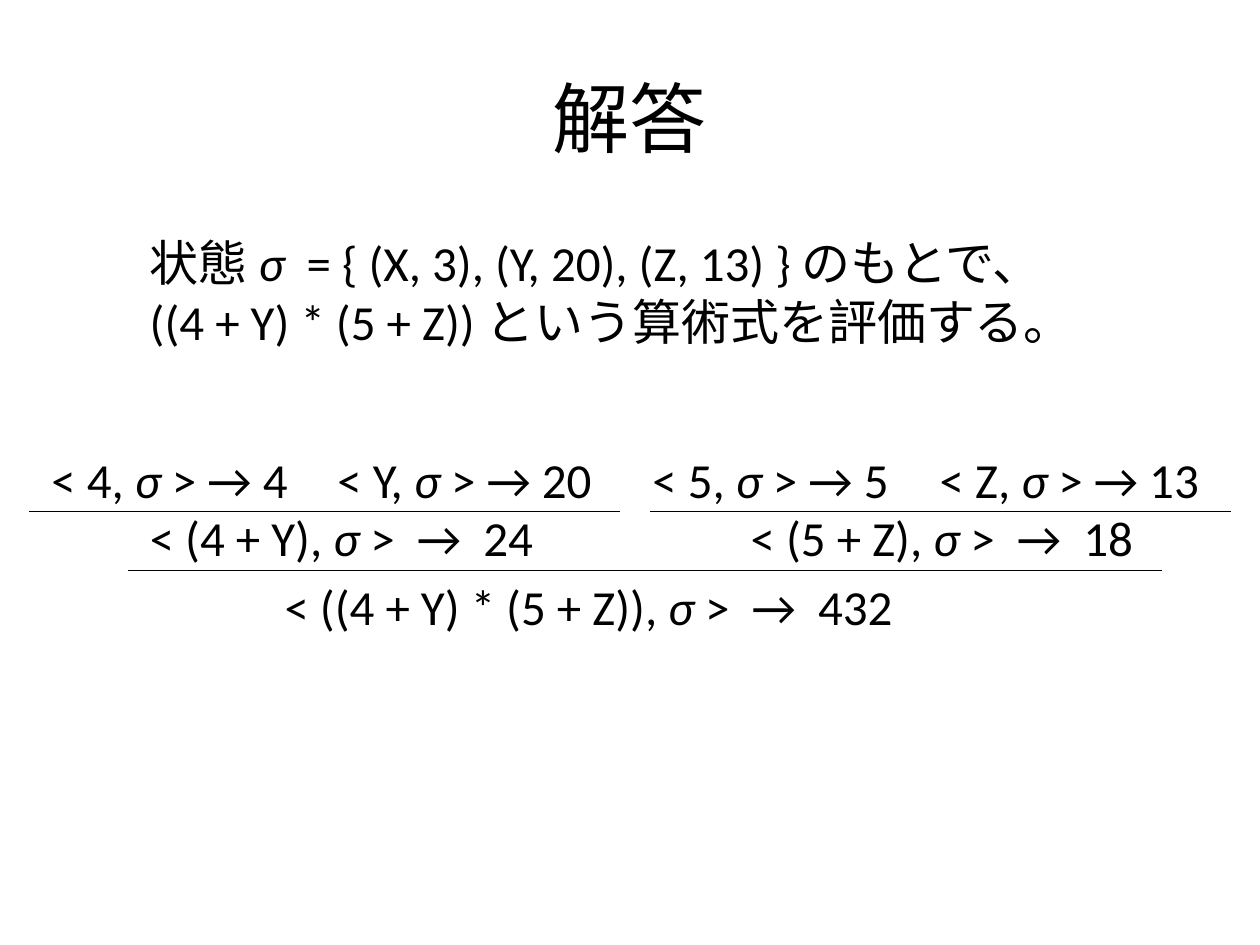
import pptx
import pptx.util
import pptx.dml.color
import pptx.enum.text
import pptx.enum.shapes
import pptx.oxml.ns
import lxml.etree

Inches = pptx.util.Inches
COLORS = {"ink": "000000"}
SIGMA = "σ"


class DerivationSlide:
    """Style and current slide of a semantic derivation."""

    font_name = "Calibri"
    title_size = 44
    text_size = 28

    def __init__(self, deck):
        self.slide = deck.slides.add_slide(deck.slide_layouts[5])
        self.ink = pptx.dml.color.RGBColor.from_string(COLORS["ink"])

    def style(self, font, size):
        font.name = self.font_name
        font.size = pptx.util.Pt(size)
        font.color.rgb = self.ink

    def title(self, text, left, top, width, height):
        box = self.slide.shapes.title
        box.left, box.top = Inches(left), Inches(top)
        box.width, box.height = Inches(width), Inches(height)
        frame = box.text_frame
        frame.text = text
        frame.vertical_anchor = pptx.enum.text.MSO_ANCHOR.MIDDLE
        para = frame.paragraphs[0]
        para.alignment = pptx.enum.text.PP_ALIGN.CENTER
        self.style(para.runs[0].font, self.title_size)

    def text(self, lines, left, top, width, height, wrap=False):
        box = self.slide.shapes.add_textbox(
            Inches(left), Inches(top), Inches(width), Inches(height))
        frame = box.text_frame
        frame.word_wrap = wrap
        frame.auto_size = pptx.enum.text.MSO_AUTO_SIZE.SHAPE_TO_FIT_TEXT
        for index, line in enumerate(lines):
            para = frame.add_paragraph() if index else frame.paragraphs[0]
            before, sigma, after = line.partition(SIGMA)
            for part in filter(None, (before, sigma, after)):
                span = para.add_run()
                span.text = part
                self.style(span.font, self.text_size)
                span.font.italic = part == SIGMA

    def judgement(self, expression, arrow, value, left, top, width):
        line = f"< {expression}, {SIGMA} >{arrow}{value}"
        self.text([line], left, top, width, 0.57)

    def rule(self, start, end, y):
        line = self.slide.shapes.add_connector(
            pptx.enum.shapes.MSO_CONNECTOR.STRAIGHT,
            Inches(start), Inches(y), Inches(end), Inches(y))
        line.line.color.rgb = self.ink
        line.line.width = pptx.util.Pt(0.75)
        lxml.etree.SubElement(
            line._element.spPr, pptx.oxml.ns.qn("a:effectLst"))


def main():
    deck = pptx.Presentation()
    deck.slide_width, deck.slide_height = Inches(10), Inches(7.5)
    page = DerivationSlide(deck)
    page.title("解答", 0.5, 0.3, 9, 1.25)
    page.text(
        ["状態 σ  = { (X, 3), (Y, 20), (Z, 13) } のもとで、",
         "((4 + Y) * (5 + Z)) という算術式を評価する。"],
        1.09, 1.8, 7.17, 1.04, wrap=True)

    premises = [("4", 4, 0.31, 2.16), ("Y", 20, 2.58, 2.31),
                ("5", 5, 5.08, 2.16), ("Z", 13, 7.36, 2.35)]
    for expression, value, left, width in premises:
        page.judgement(expression, " → ", value, left, 3.52, width)

    conclusions = [("(4 + Y)", 24, 1.09, 3.98, 3.48),
                   ("(5 + Z)", 18, 5.86, 3.98, 3.34),
                   ("((4 + Y) * (5 + Z))", 432, 2.16, 4.53, 5.38)]
    for expression, value, left, top, width in conclusions:
        page.judgement(expression, "  →  ", value, left, top, width)

    for start, end, y in [(0.23, 4.92, 4.06), (5.16, 9.77, 4.06),
                          (1.02, 9.22, 4.53)]:
        page.rule(start, end, y)
    deck.save("out.pptx")


if __name__ == "__main__":
    main()
